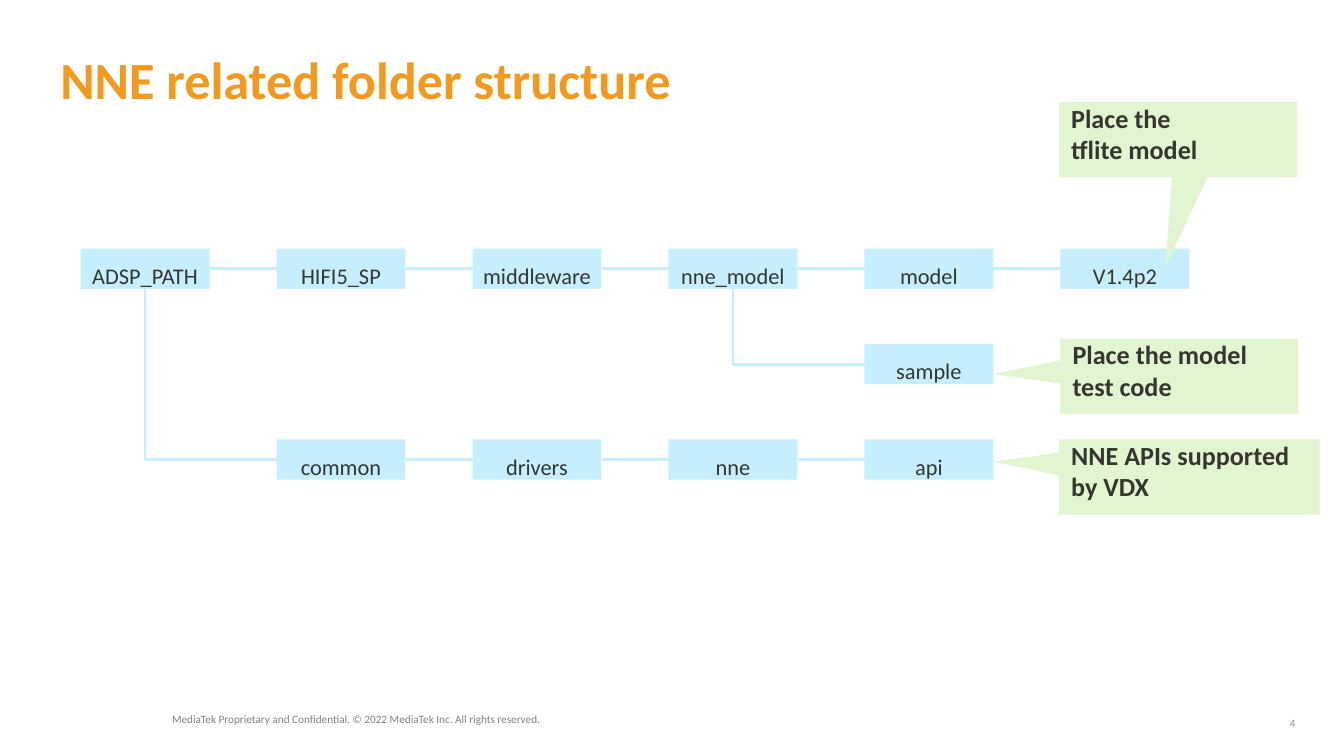
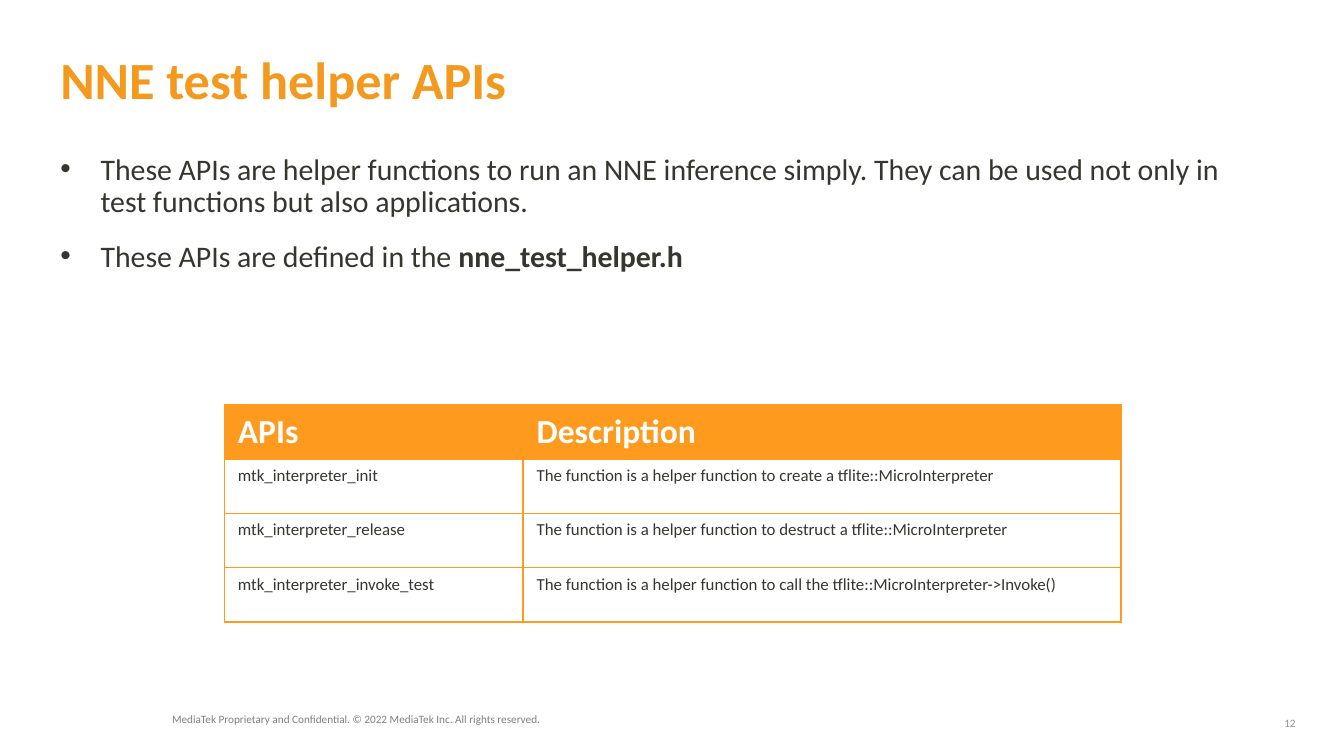
"""Builds two slides on the NNE folder structure and its test helper APIs."""
from dataclasses import dataclass
from typing import Any

from lxml import etree
from pptx import Presentation
from pptx.dml.color import RGBColor
from pptx.enum.shapes import MSO_CONNECTOR, MSO_SHAPE
from pptx.enum.text import MSO_ANCHOR, PP_ALIGN
from pptx.oxml.ns import qn
from pptx.util import Inches, Pt

STRAIGHT, ELBOW = MSO_CONNECTOR.STRAIGHT, MSO_CONNECTOR.ELBOW
RECTANGLE, TRIANGLE = MSO_SHAPE.RECTANGLE, MSO_SHAPE.ISOSCELES_TRIANGLE
TOP, MIDDLE = MSO_ANCHOR.TOP, MSO_ANCHOR.MIDDLE
LEFT, CENTER, RIGHT = PP_ALIGN.LEFT, PP_ALIGN.CENTER, PP_ALIGN.RIGHT

FONT, BULLET_FONT = "Calibri", "Arial"
INK, TITLE, WHITE = "353630", "F39A1E", "FFFFFF"
FOOTER, PAGE_NUMBER = "808080", "90918F"
NODE, CALLOUT, TABLE = "C5EFFF", "E1F5D1", "FE9B1E"

NO_INSET = (0.0, 0.0)
BOX_INSET = (0.1, 0.05)
NODE_WIDTH, NODE_HEIGHT = 0.96, 0.3
GRID_LEFT, GRID_TOP = 0.6, 1.85
COLUMN_STEP, ROW_STEP = (7.89 - GRID_LEFT) / 5, 0.71


@dataclass(frozen=True)
class Frame:
    """Position and size in inches."""
    left: float
    top: float
    width: float
    height: float

    def lengths(self) -> tuple[Inches, ...]:
        """Return the four lengths in the order that shapes take them."""
        return tuple(Inches(v) for v in (self.left, self.top, self.width, self.height))


@dataclass(frozen=True)
class Branch:
    """A run of folders that starts at one grid cell."""
    row: int
    column: int
    names: tuple[str, ...]


@dataclass(frozen=True)
class Callout:
    """A labelled box with a triangular pointer."""
    text: str
    box: Frame
    pointer: Frame
    rotation: float
    apex: float


BRANCHES = (
    Branch(0, 0, ("ADSP_PATH", "HIFI5_SP", "middleware", "nne_model", "model", "V1.4p2")),
    Branch(1, 4, ("sample",)),
    Branch(2, 1, ("common", "drivers", "nne", "api")),
)
FORKS = (((0, 3), (1, 4)), ((0, 0), (2, 1)))
CALLOUTS = (
    Callout("Place the\ntflite model", Frame(7.88, 0.76, 1.77, 0.56),
            Frame(8.56, 1.23, 0.28, 0.73), 205.1, 0),
    Callout("Place the model\ntest code", Frame(7.89, 2.52, 1.77, 0.56),
            Frame(7.57, 2.51, 0.19, 0.55), 266.2, 0.6),
    Callout("NNE APIs supported\nby VDX", Frame(7.88, 3.27, 1.94, 0.56),
            Frame(7.57, 3.18, 0.19, 0.55), 270, 0.6),
)
BULLETS = (
    "These APIs are helper functions to run an NNE inference simply. They can be used "
    "not only in test functions but also applications.\n"
    "These APIs are defined in the **nne_test_helper.h**"
)
API_ROWS = (
    ("APIs", "Description"),
    ("mtk_interpreter_init",
     "The function is a helper function to create a tflite::MicroInterpreter"),
    ("mtk_interpreter_release",
     "The function is a helper function to destruct a tflite::MicroInterpreter"),
    ("mtk_interpreter_invoke_test",
     "The function is a helper function to call the tflite::MicroInterpreter->Invoke()"),
)


def color(value: str) -> RGBColor:
    """Turn a hex string into a colour."""
    return RGBColor.from_string(value)


def write_text(text_frame: Any, text: str, *, size: float, fill: str = INK, bold: bool = False,
               align: Any = LEFT, anchor: Any = TOP, inset: tuple[float, float] = BOX_INSET,
               spacing: float = 1.0, gap: float = 0, bullet: str = "") -> None:
    """Write one paragraph per line, with spans between double asterisks in bold."""
    text_frame.word_wrap = True
    text_frame.vertical_anchor = anchor
    text_frame.margin_left = text_frame.margin_right = Inches(inset[0])
    text_frame.margin_top = text_frame.margin_bottom = Inches(inset[1])
    for index, line in enumerate(text.split("\n")):
        para = text_frame.add_paragraph() if index else text_frame.paragraphs[0]
        para.alignment = align
        para.line_spacing = spacing
        para.space_before = Pt(gap if index else 0)
        if bullet:
            properties = para._p.get_or_add_pPr()
            properties.set("marL", str(Inches(0.3)))
            properties.set("indent", str(Inches(-0.3)))
            etree.SubElement(properties, qn("a:buFont"), typeface=BULLET_FONT)
            etree.SubElement(properties, qn("a:buChar"), char=bullet)
        for part, content in enumerate(line.split("**")):
            if content:
                span = para.add_run()
                span.text = content
                span.font.name = FONT
                span.font.size = Pt(size)
                span.font.bold = bold or part % 2 == 1
                span.font.color.rgb = color(fill)


def add_label(page: Any, frame: Frame, text: str, **style: Any) -> None:
    """Add a text box."""
    write_text(page.shapes.add_textbox(*frame.lengths()).text_frame, text, **style)


def add_block(page: Any, kind: Any, frame: Frame, fill: str) -> Any:
    """Add a flat filled shape without an outline."""
    shape = page.shapes.add_shape(kind, *frame.lengths())
    shape.shadow.inherit = False
    shape.fill.solid()
    shape.fill.fore_color.rgb = color(fill)
    shape.line.fill.background()
    return shape


def add_line(page: Any, kind: Any, start: tuple[float, float], end: tuple[float, float]) -> Any:
    """Add a connector in the folder colour."""
    line = page.shapes.add_connector(kind, *(Inches(v) for v in (*start, *end)))
    line.line.color.rgb = color(NODE)
    line.line.width = Pt(1.5)
    etree.SubElement(line._element.spPr, qn("a:effectLst"))
    return line


def add_fork(page: Any, start: tuple[float, float], end: tuple[float, float]) -> None:
    """Add a connector that goes down and then right."""
    center_x, center_y = (start[0] + end[0]) / 2, (start[1] + end[1]) / 2
    half_run, half_drop = (end[0] - start[0]) / 2, (end[1] - start[1]) / 2
    line = add_line(page, ELBOW, (center_x + half_drop, center_y - half_run),
                    (center_x - half_drop, center_y + half_run))
    properties = line._element.spPr
    properties.find(qn("a:xfrm")).set("rot", str(270 * 60000))
    properties.find(qn("a:prstGeom")).set("prst", "bentConnector2")


def node_frame(row: int, column: int) -> Frame:
    """Return the place of a folder on the grid."""
    return Frame(GRID_LEFT + column * COLUMN_STEP, GRID_TOP + row * ROW_STEP,
                 NODE_WIDTH, NODE_HEIGHT)


def add_branch(page: Any, branch: Branch) -> None:
    """Add the folders of one branch and the lines between them."""
    for offset, name in enumerate(branch.names):
        frame = node_frame(branch.row, branch.column + offset)
        node = add_block(page, RECTANGLE, frame, NODE)
        write_text(node.text_frame, name, size=12, align=CENTER, inset=NO_INSET, spacing=1.5)
        if offset:
            middle = frame.top + NODE_HEIGHT / 2
            add_line(page, STRAIGHT, (frame.left - COLUMN_STEP + NODE_WIDTH, middle),
                     (frame.left, middle))


def add_callout(page: Any, callout: Callout) -> None:
    """Add a pointer and its labelled box."""
    pointer = add_block(page, TRIANGLE, callout.pointer, CALLOUT)
    pointer.adjustments[0] = callout.apex
    pointer.rotation = callout.rotation
    box = add_block(page, RECTANGLE, callout.box, CALLOUT)
    write_text(box.text_frame, callout.text, size=14, bold=True, inset=(0.09, 0))


def add_borders(cell: Any) -> None:
    """Outline a table cell on all four sides."""
    properties = cell._tc.get_or_add_tcPr()
    for side in ("lnL", "lnR", "lnT", "lnB"):
        line = etree.SubElement(properties, qn(f"a:{side}"), w=str(Pt(1)))
        solid = etree.SubElement(line, qn("a:solidFill"))
        etree.SubElement(solid, qn("a:srgbClr"), val=TABLE)


def add_api_table(page: Any) -> None:
    """Add the table of helper functions."""
    frame = Frame(1.67, 3.01, 6.67, 1.62)
    table = page.shapes.add_table(len(API_ROWS), 2, *frame.lengths()).table
    table.horz_banding = False
    for column, share in zip(table.columns, (1, 2)):
        column.width = Inches(frame.width * share / 3)
    for row, texts in enumerate(API_ROWS):
        for column, text in enumerate(texts):
            cell = table.cell(row, column)
            add_borders(cell)
            if row:
                cell.fill.background()
                write_text(cell.text_frame, text, size=9)
            else:
                cell.fill.solid()
                cell.fill.fore_color.rgb = color(TABLE)
                write_text(cell.text_frame, text, size=18, fill=WHITE, bold=True)


def add_page(deck: Any, title: str, number: int) -> Any:
    """Add a blank page with the title, footer and page number."""
    page = deck.slides.add_slide(deck.slide_layouts[6])
    add_label(page, Frame(1.28, 5.31, 5.61, 0.2),
              "MediaTek Proprietary and Confidential. © 2022 MediaTek Inc. All rights reserved.",
              size=6, fill=FOOTER, inset=NO_INSET, spacing=0.9)
    add_label(page, Frame(9.34, 5.32, 0.3, 0.12), str(number), size=6, fill=PAGE_NUMBER,
              align=RIGHT, anchor=MIDDLE, inset=NO_INSET)
    add_label(page, Frame(0.35, 0.19, 8.99, 0.79), title, size=28, fill=TITLE, bold=True,
              anchor=MIDDLE)
    return page


def build_folder_page(deck: Any) -> None:
    """Build the page with the folder tree."""
    page = add_page(deck, "NNE related folder structure", 4)
    for branch in BRANCHES:
        add_branch(page, branch)
    for parent, child in FORKS:
        source, target = node_frame(*parent), node_frame(*child)
        add_fork(page, (source.left + NODE_WIDTH / 2, source.top + NODE_HEIGHT),
                 (target.left, target.top + NODE_HEIGHT / 2))
    for callout in CALLOUTS:
        add_callout(page, callout)


def build_helper_page(deck: Any) -> None:
    """Build the page with the helper functions."""
    page = add_page(deck, "NNE test helper APIs", 12)
    add_label(page, Frame(0.35, 1.1, 8.99, 4.05), BULLETS, size=16, spacing=0.9, gap=12,
              bullet="•")
    add_api_table(page)


def main() -> None:
    """Build and save the deck."""
    deck = Presentation()
    deck.slide_width = Inches(10)
    deck.slide_height = Inches(10 * 9 / 16)
    build_folder_page(deck)
    build_helper_page(deck)
    deck.save("out.pptx")


if __name__ == "__main__":
    main()
